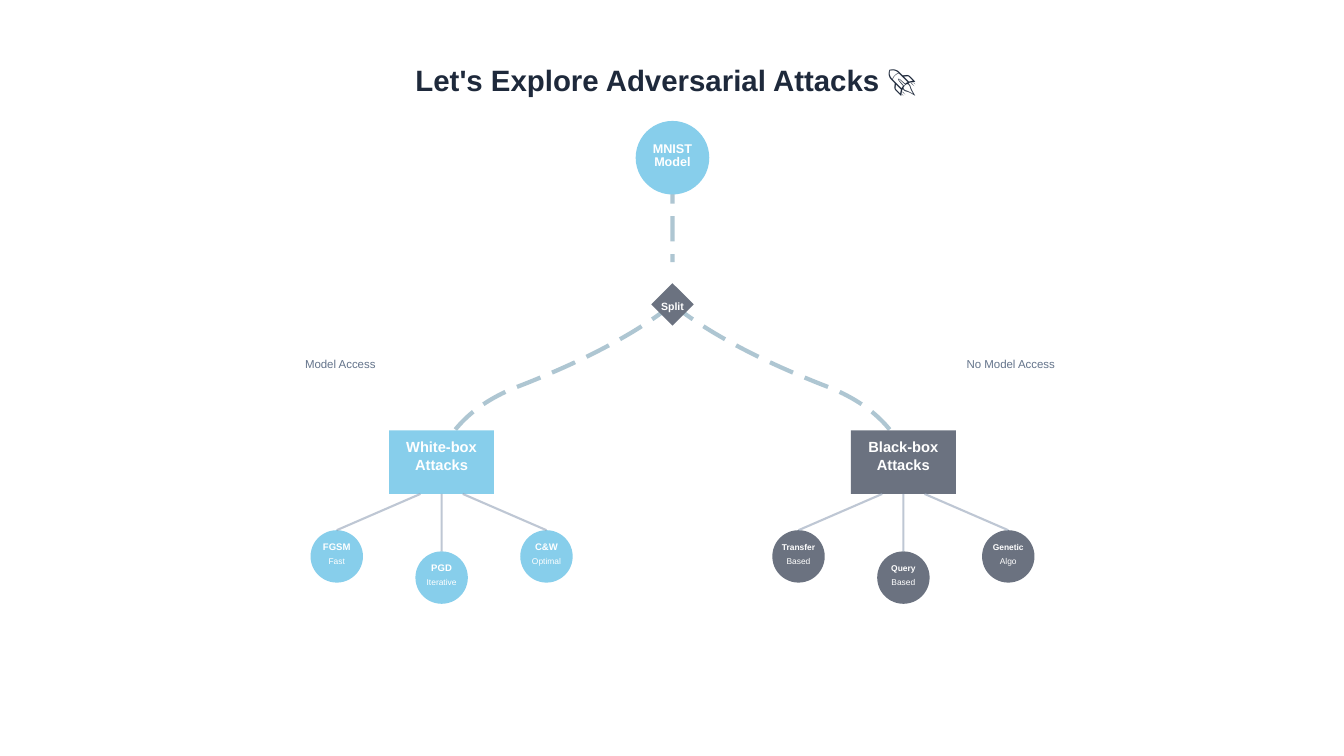
from lxml.etree import SubElement
from pptx import Presentation
from pptx.dml.color import RGBColor
from pptx.enum.shapes import MSO_CONNECTOR as LINK, MSO_SHAPE as SHAPE
from pptx.enum.text import MSO_ANCHOR as ANCHOR, PP_ALIGN as ALIGN
from pptx.oxml.ns import qn
from pptx.util import Inches, Pt

NAVY = RGBColor(0x1E, 0x29, 0x3B)
SKY = RGBColor(0x87, 0xCE, 0xEB)
GRAY = RGBColor(0x6B, 0x72, 0x80)
TEAL = RGBColor(0x79, 0xA0, 0xB5)
SLATE = RGBColor(0x94, 0xA3, 0xB8)
MUTED = RGBColor(0x64, 0x74, 0x8B)
WHITE = RGBColor(0xFF, 0xFF, 0xFF)

deck = Presentation()
deck.slide_width, deck.slide_height = Inches(13.33), Inches(7.5)
slide = deck.slides.add_slide(deck.slide_layouts[5])
shapes = slide.shapes
mid = 6.67


def stroke(shape, color, width, dashed):
    shape.line.color.rgb = color
    shape.line.width = Pt(width)
    props = shape._element.spPr
    line = props.find(qn("a:ln"))
    SubElement(line.find(".//" + qn("a:srgbClr")), qn("a:alpha"), val="60000")
    if dashed:
        dash = SubElement(line, qn("a:custDash"))
        SubElement(dash, qn("a:ds"), d="600000", sp="300000")
    if props.find(qn("a:effectLst")) is None:
        SubElement(props, qn("a:effectLst"))


def node(kind, x, y, w, h, fill, lines, pitch, lift):
    shape = shapes.add_shape(kind, Inches(x - w / 2), Inches(y), Inches(w), Inches(h))
    shape.shadow.inherit = False
    shape.fill.solid()
    shape.fill.fore_color.rgb = fill
    shape.line.fill.background()
    frame = shape.text_frame
    frame.word_wrap = False
    frame.vertical_anchor = ANCHOR.MIDDLE
    frame.margin_left = frame.margin_right = 0
    frame.margin_top = Inches(max(-lift, 0))
    frame.margin_bottom = Inches(max(lift, 0))
    for i, (text, size, bold) in enumerate(lines):
        para = frame.add_paragraph() if i else frame.paragraphs[0]
        para.text = text
        para.alignment = ALIGN.CENTER
        para.line_spacing = Pt(pitch)
        font = para.font
        font.name, font.size, font.bold = "Arial", Pt(size), bold
        font.color.rgb = WHITE
    return shape


title = shapes.title
title.left, title.top = Inches(4.02), Inches(0.57)
title.width, title.height = Inches(5.29), Inches(0.49)
frame = title.text_frame
frame.word_wrap = False
frame.vertical_anchor = ANCHOR.TOP
para = frame.paragraphs[0]
para.alignment = ALIGN.LEFT
para.font.size, para.font.bold = Pt(21), True
para.font.color.rgb = NAVY
for text, face in [("Let's Explore Adversarial Attacks ", "Arial"), ("🚀", "Roboto")]:
    run = para.add_run()
    run.text = text
    run.font.name = face

trunk = shapes.add_connector(LINK.STRAIGHT, Inches(mid), Inches(1.77), Inches(mid), Inches(2.6))
stroke(trunk, TEAL, 3, True)

bends = [
    [(0, 3.02), (0.35, 3.3), (0.87, 3.58), (1.57, 3.85)],
    [(1.57, 3.85), (1.91, 3.99), (2.16, 4.2), (2.29, 4.48)],
]
steps = 24
for side in (-1, 1):
    dots = []
    for bend in bends:
        for i in range(steps + 1):
            t = i / steps
            mix = [(1 - t) ** 3, 3 * t * (1 - t) ** 2, 3 * t * t * (1 - t), t ** 3]
            x = sum(m * p[0] for m, p in zip(mix, bend))
            y = sum(m * p[1] for m, p in zip(mix, bend))
            dots.append((Inches(mid + side * x), Inches(y)))
    path = shapes.build_freeform(*dots[0])
    path.add_line_segments(dots[1:], close=False)
    curve = path.convert_to_shape()
    curve.shadow.inherit = False
    curve.fill.background()
    stroke(curve, TEAL, 3, True)

node(SHAPE.OVAL, mid, 1.2, 0.73, 0.73, SKY, [("MNIST", 9, True), ("Model", 9, True)], 9.4, 0.04)
node(SHAPE.DIAMOND, mid, 2.81, 0.42, 0.42, GRAY, [("Split", 7.5, True)], 8.6, -0.04)

groups = [
    (-1, SKY, "White-box", 6.8, [("FGSM", "Fast"), ("PGD", "Iterative"), ("C&W", "Optimal")]),
    (1, GRAY, "Black-box", 6, [("Transfer", "Based"), ("Query", "Based"), ("Genetic", "Algo")]),
]
for side, fill, name, size, leaves in groups:
    hub = mid + side * 2.29
    lines = [(name, 10.5, True), ("Attacks", 10.5, True)]
    box = node(SHAPE.RECTANGLE, hub, 4.27, 1.04, 0.63, fill, lines, 13.4, 0.14)
    for step, (head, note) in zip((-1, 0, 1), leaves):
        x = hub + step * 1.04
        y = 5.26 if step else 5.47
        lines = [(head, size, True), (note, 6, False)]
        leaf = node(SHAPE.OVAL, x, y, 0.52, 0.52, fill, lines, 9.5, 0.08)
        link = shapes.add_connector(
            LINK.STRAIGHT, Inches(hub + step * 0.21), Inches(4.9), Inches(x), Inches(y))
        if step == 0:
            link.begin_connect(box, 2)
        link.end_connect(leaf, 0)
        stroke(link, SLATE, 1.5, False)

for x, w, text in [(2.92, 0.91, "Model Access"), (9.48, 1.09, "No Model Access")]:
    label = shapes.add_textbox(Inches(x), Inches(3.49), Inches(w), Inches(0.23))
    label.text_frame.word_wrap = False
    para = label.text_frame.paragraphs[0]
    para.text = text
    para.alignment = ALIGN.CENTER
    para.font.name, para.font.size = "Arial", Pt(8.2)
    para.font.color.rgb = MUTED

deck.save("out.pptx")
